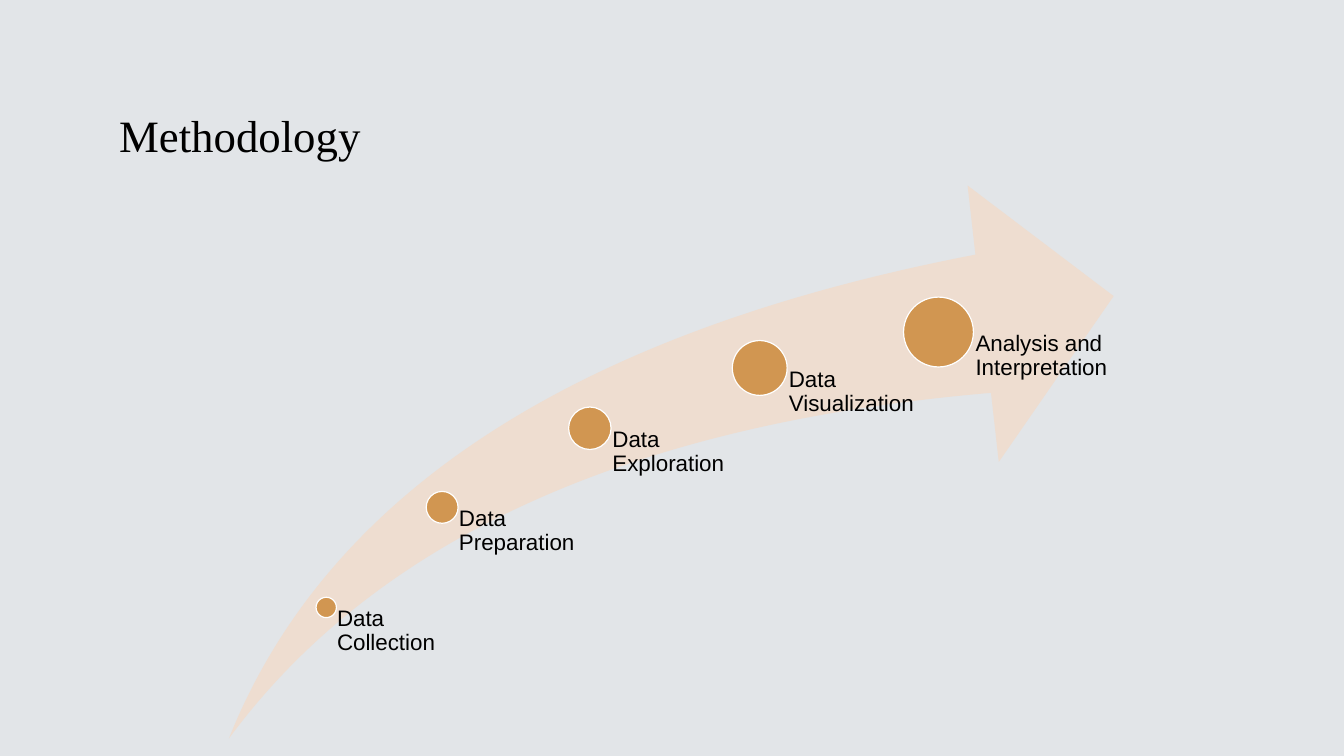
from pptx import Presentation
from pptx.dml.color import RGBColor
from pptx.enum.shapes import MSO_SHAPE as Shape
from pptx.enum.text import MSO_ANCHOR as Anchor
from pptx.util import Pt

# Label, centre x and y, circle diameter, label width: fractions of the arrow box
# (y is a fraction of its height, the rest of its width)
STEPS = [
    ("Data Collection", 0.11, 0.763, 0.023, 0.131),
    ("Data Preparation", 0.241, 0.582, 0.036, 0.166),
    ("Data Exploration", 0.408, 0.439, 0.048, 0.194),
    ("Data Visualization", 0.6, 0.33, 0.062, 0.2),
    ("Analysis and Interpretation", 0.802, 0.265, 0.079, 0.2),
]


def color(hex_code):
    return RGBColor.from_string(hex_code)


def add_text(shapes, box, text, font, size):
    s = shapes.add_textbox(*(Pt(v) for v in box))
    tf = s.text_frame
    tf.word_wrap = True
    tf.text = text
    r = tf.paragraphs[0].runs[0]
    r.font.name, r.font.size = font, Pt(size)
    r.font.color.rgb = color("000000")
    return tf


def add_filled(shapes, kind, box, fill):
    s = shapes.add_shape(kind, *(Pt(v) for v in box))
    s.shadow.inherit = False
    s.fill.solid()
    s.fill.fore_color.rgb = color(fill)
    s.line.fill.background()
    return s


def add_title(slide, box, text):
    tf = add_text(slide.shapes, box, text, "Times New Roman", 32)
    tf.vertical_anchor = Anchor.BOTTOM


def add_step(shapes, box, step):
    left, top, width, height = box
    label, fx, fy, fd, fw = step
    x, y, d = left + fx * width, top + fy * height, fd * width

    # Milestone circle
    s = add_filled(shapes, Shape.OVAL, (x - d / 2, y - d / 2, d, d), "D19651")
    s.line.color.rgb = color("FFFFFF")
    s.line.width = Pt(0.85)

    # Label runs from the circle's centre to the bottom of the arrow
    label_box = (x, y, fw * width, top + height - y)
    tf = add_text(shapes, label_box, label, "Arial", 16)
    tf.margin_left = Pt(0.53 * d)
    tf.margin_top = tf.margin_right = tf.margin_bottom = 0
    tf.paragraphs[0].line_spacing = 0.9


def add_process(slide, box, steps):
    shapes = slide.shapes.add_group_shape().shapes
    # Rising arrow
    arrow = add_filled(shapes, Shape.SWOOSH_ARROW, box, "EEDDD0")
    arrow.adjustments[0] = 0.25
    arrow.adjustments[1] = 0.25
    for step in steps:
        add_step(shapes, box, step)


def main():
    prs = Presentation()
    prs.slide_width, prs.slide_height = Pt(960), Pt(540)
    slide = prs.slides.add_slide(prs.slide_layouts[6])
    slide.background.fill.solid()
    slide.background.fill.fore_color.rgb = color("E2E5E8")

    add_title(slide, (78, 31, 804, 88), "Methodology")
    add_process(slide, (163.5, 132.5, 632, 395), STEPS)
    prs.save("out.pptx")


if __name__ == "__main__":
    main()
